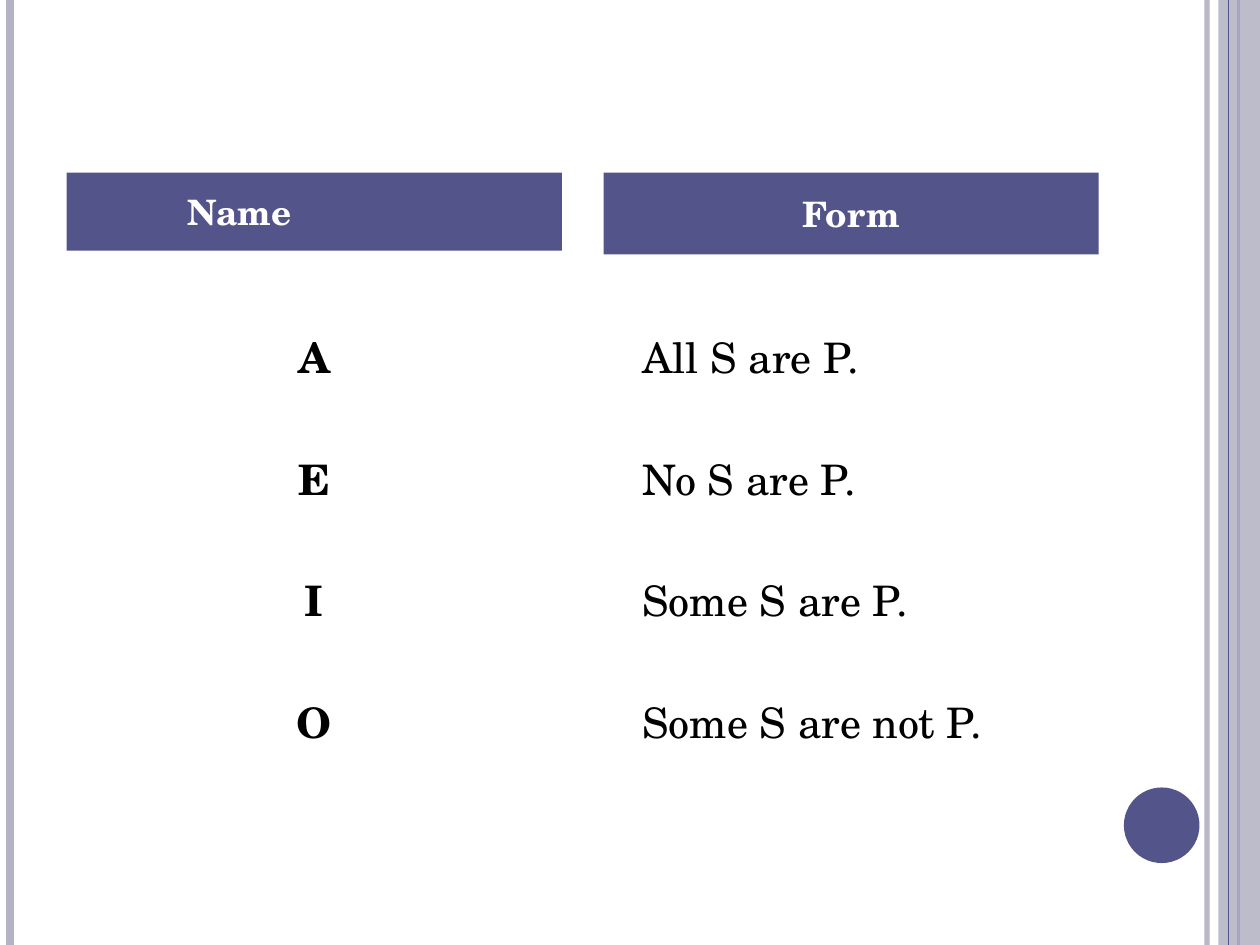
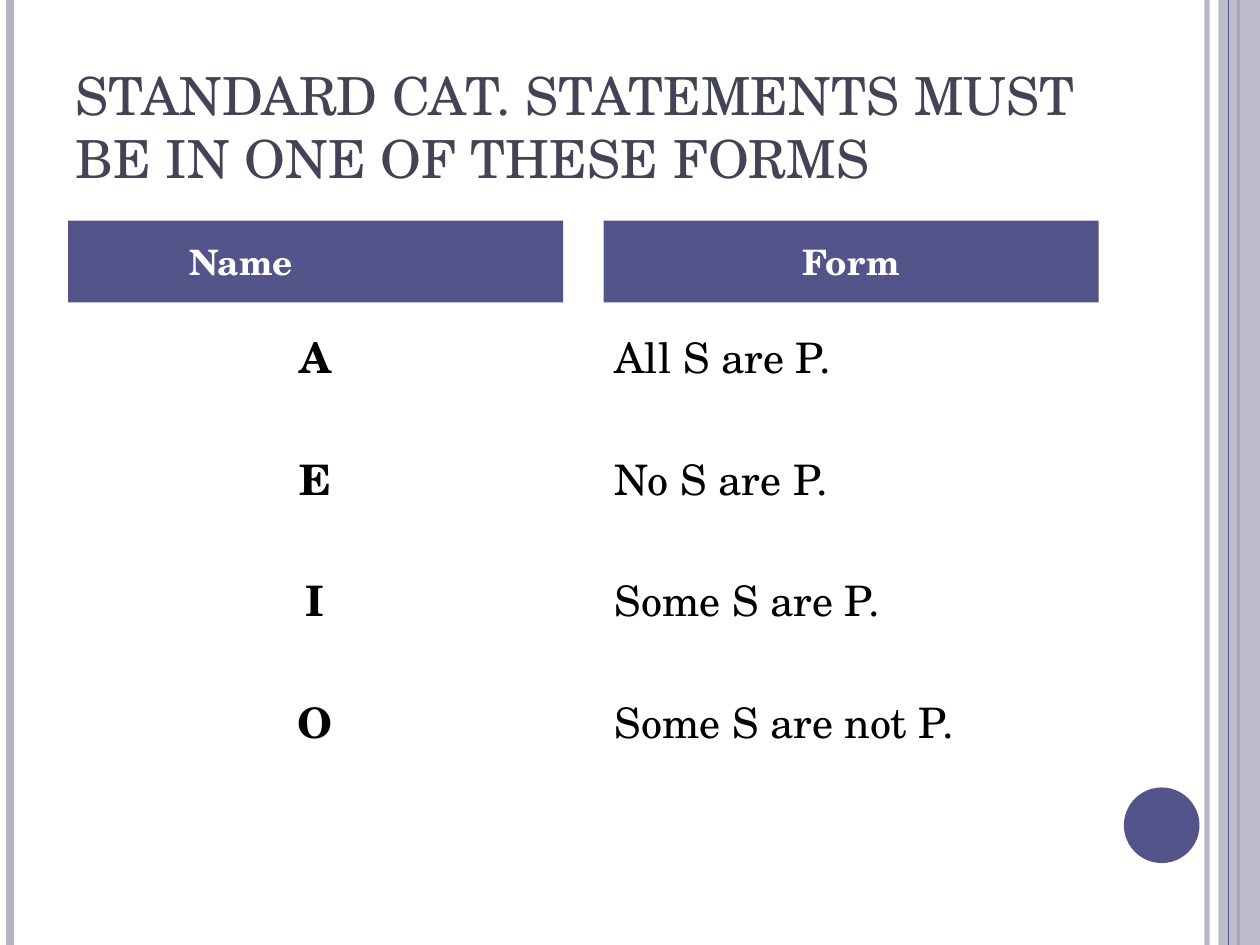
from dataclasses import dataclass

from pptx import Presentation
from pptx.dml.color import RGBColor
from pptx.enum.shapes import MSO_CONNECTOR, MSO_SHAPE
from pptx.enum.text import MSO_ANCHOR, PP_ALIGN
from pptx.oxml.ns import qn
from pptx.oxml.xmlchemy import OxmlElement
from pptx.util import Inches, Pt

STRAIGHT = MSO_CONNECTOR.STRAIGHT
RECT, OVAL = MSO_SHAPE.RECTANGLE, MSO_SHAPE.OVAL
TOP, MIDDLE, BOTTOM = MSO_ANCHOR.TOP, MSO_ANCHOR.MIDDLE, MSO_ANCHOR.BOTTOM
LEFT, CENTER = PP_ALIGN.LEFT, PP_ALIGN.CENTER

FONT = "TeX Gyre Schola"
INDIGO, LILAC, SLATE = "53548A", "B3B3C4", "424456"
BLACK, WHITE = "000000", "FFFFFF"
WIDE, HIGH = 10, 7.5
ROW_GAP = 40.8
NAME_INSET = 1.28  # right inset that moves "Name" left of centre

TITLE = "STANDARD CAT. STATEMENTS MUST BE IN ONE OF THESE FORMS"
NAMES = ["A", "E", "I", "O"]
FORMS = ["All S are P.", "No S are P.", "Some S are P.", "Some S are not P."]


@dataclass
class Box:
    left: float
    top: float
    width: float
    height: float

    def place(self):
        return [Inches(n) for n in (self.left, self.top, self.width, self.height)]


@dataclass
class Style:
    size: float
    color: str
    bold: bool = False
    align: PP_ALIGN = LEFT
    anchor: MSO_ANCHOR = TOP


@dataclass
class Rule:
    x: float
    color: str
    weight: float
    alpha: int = 100


@dataclass
class Page:
    title: str
    name_bar: Box
    form_bar: Box
    name_list: Box
    form_list: Box


HEAD = Style(30, SLATE, anchor=BOTTOM)
BAR = Style(20, WHITE, True, CENTER, MIDDLE)
NAME = Style(24, BLACK, True, CENTER)
FORM = Style(24, BLACK)

BACK_RULES = [Rule(9.58, LILAC, 3, 93), Rule(0.08, LILAC, 4.5), Rule(9.83, INDIGO, 1.5)]
FRONT_RULE = Rule(9.75, INDIGO, 0.75)
BAND = Box(9.67, 0, 0.33, HIGH)
DISC = Box(8.92, 6.25, 0.6, 0.6)
TITLE_BOX = Box(0.5, 0.3, 8.25, 1.25)

PAGES = [
    Page("", Box(0.53, 1.37, 3.93, 0.62), Box(4.79, 1.37, 3.93, 0.65),
         Box(0.83, 2.58, 3.33, 4.25), Box(5, 2.58, 4, 4.25)),
    Page(TITLE, Box(0.54, 1.75, 3.93, 0.65), Box(4.79, 1.75, 3.93, 0.65),
         Box(0.5, 2.58, 4, 4.25), Box(4.78, 2.58, 4, 4.25)),
]


def paint(fill, color: str, alpha: int = 100) -> None:
    """Set a solid colour; alpha is the opacity in percent."""
    fill.solid()
    fill.fore_color.rgb = RGBColor.from_string(color)


def fade(shape, alpha: int) -> None:
    """Make every colour of the shape partly transparent."""
    if alpha == 100:
        return
    for color in shape._element.spPr.iter(qn("a:srgbClr")):
        mark = OxmlElement("a:alpha")
        mark.set("val", str(alpha * 1000))
        color.append(mark)


def add_rule(slide, rule: Rule) -> None:
    x = Inches(rule.x)
    line = slide.shapes.add_connector(STRAIGHT, x, 0, x, Inches(HIGH))
    line.line.width = Pt(rule.weight)
    paint(line.line.fill, rule.color)
    fade(line, rule.alpha)
    line._element.spPr.append(OxmlElement("a:effectLst"))


def add_block(slide, kind: MSO_SHAPE, box: Box, color: str, alpha: int = 100):
    block = slide.shapes.add_shape(kind, *box.place())
    block.shadow.inherit = False
    paint(block.fill, color)
    fade(block, alpha)
    block.line.fill.background()
    return block


def write(shape, lines: list[str], style: Style) -> None:
    frame = shape.text_frame
    frame.word_wrap = True
    frame.vertical_anchor = style.anchor
    frame.text = "\n".join(lines)
    for i, para in enumerate(frame.paragraphs):
        para.alignment = style.align
        para.space_before = Pt(ROW_GAP if i else 0)
        for run in para.runs:
            run.font.name = FONT
            run.font.size = Pt(style.size)
            run.font.bold = style.bold
            paint(run.font.fill, style.color)


def add_text(slide, box: Box, lines: list[str], style: Style) -> None:
    write(slide.shapes.add_textbox(*box.place()), lines, style)


def add_bar(slide, box: Box, label: str, inset: float = 0.1) -> None:
    bar = add_block(slide, RECT, box, INDIGO)
    write(bar, [label], BAR)
    bar.text_frame.margin_right = Inches(inset)


def add_frame(slide) -> None:
    """Draw the edge rules, side band and disc that all slides share."""
    for rule in BACK_RULES:
        add_rule(slide, rule)
    add_block(slide, RECT, BAND, LILAC, 87)
    add_rule(slide, FRONT_RULE)
    add_block(slide, OVAL, DISC, INDIGO)


def add_page(deck, page: Page) -> None:
    slide = deck.slides.add_slide(deck.slide_layouts[6])
    paint(slide.background.fill, WHITE)
    add_frame(slide)
    if page.title:
        add_text(slide, TITLE_BOX, [page.title], HEAD)
    add_text(slide, page.name_list, NAMES, NAME)
    add_text(slide, page.form_list, FORMS, FORM)
    add_bar(slide, page.name_bar, "Name", NAME_INSET)
    add_bar(slide, page.form_bar, "Form")


def main() -> None:
    deck = Presentation()
    deck.slide_width, deck.slide_height = Inches(WIDE), Inches(HIGH)
    for page in PAGES:
        add_page(deck, page)
    deck.save("out.pptx")


if __name__ == "__main__":
    main()
